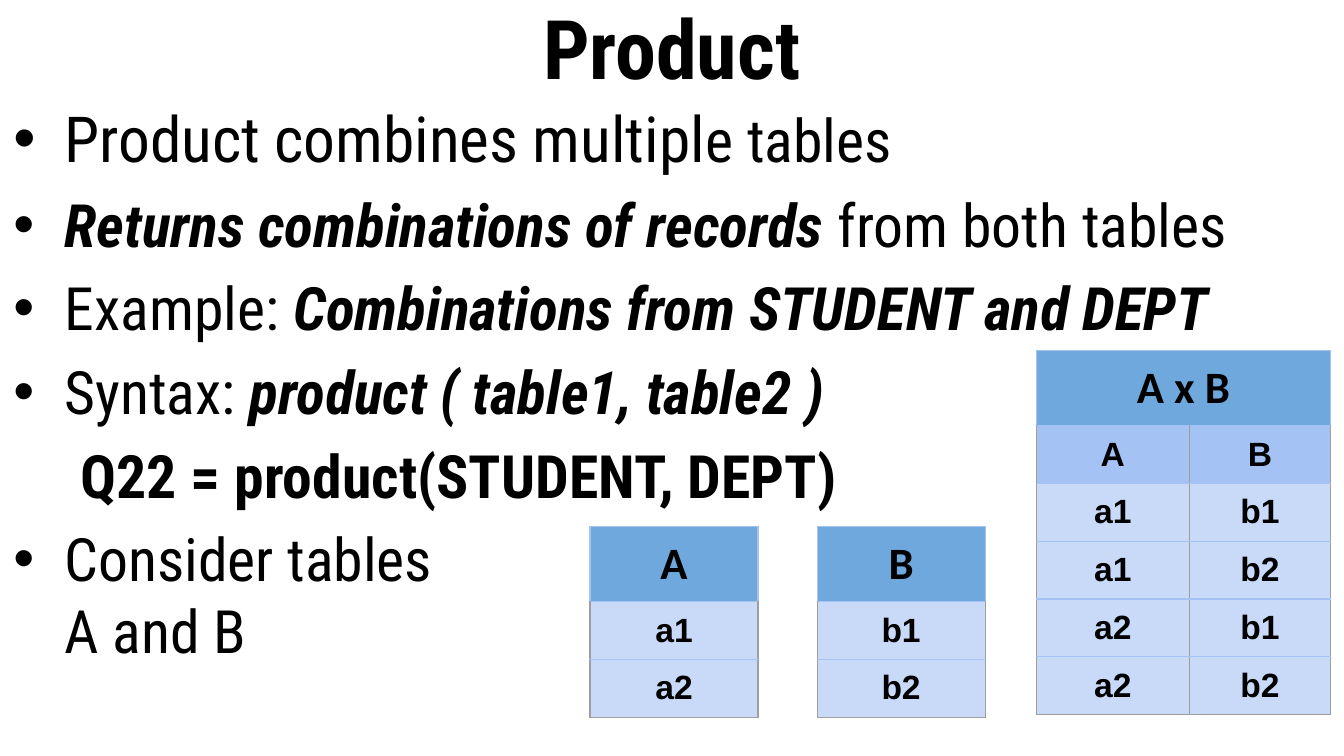
from lxml.etree import SubElement
from pptx import Presentation
from pptx.dml.color import RGBColor
from pptx.enum.text import MSO_ANCHOR, MSO_AUTO_SIZE, PP_ALIGN
from pptx.oxml.ns import qn
from pptx.util import Inches, Pt

BLACK = RGBColor(0x00, 0x00, 0x00)
HEADER = RGBColor(0x6F, 0xA8, 0xDC)
BLUE = RGBColor(0xA4, 0xC2, 0xF4)
PALE = RGBColor(0xC9, 0xDA, 0xF8)
GREY = RGBColor(0x9E, 0x9E, 0x9E)

TEXT_FONT = "Roboto Condensed"
ROW_HEIGHT = 0.31

# Each paragraph: bulleted or not, then its runs as (text, size, bold, italic)
BODY = [
    (True, [("Product combines multipl", 34, False, False),
            ("e tables", 32, False, False)]),
    (True, [("Returns combinations of records ", 32, True, True),
            ("from both tables", 32, False, False)]),
    (True, [("Example: ", 32, False, False),
            ("Combinations from STUDENT and DEPT", 32, True, True)]),
    (True, [("Syntax: ", 32, False, False),
            ("product ( table1, table2 )", 32, True, True)]),
    (False, [("Q22 = product(STUDENT, DEPT)", 32, True, False)]),
    (True, [("Consider tables\nA and B", 32, False, False)]),
]


def format_run(r, font, size, bold=True, italic=False):
    r.font.name = font
    r.font.size = Pt(size)
    r.font.bold = bold
    r.font.italic = italic
    r.font.color.rgb = BLACK


def place(sp, left, top, width, height):
    sp.left, sp.top = Inches(left), Inches(top)
    sp.width, sp.height = Inches(width), Inches(height)
    sp.text_frame.auto_size = MSO_AUTO_SIZE.NONE
    sp.text_frame.word_wrap = True


def set_indent(p, margin, hanging):
    pPr = p._p.get_or_add_pPr()
    pPr.set("marL", str(Inches(margin)))
    pPr.set("indent", str(Inches(-hanging)))
    return pPr


def set_bullet(pPr, bulleted):
    if not bulleted:
        SubElement(pPr, qn("a:buNone"))
        return
    color = SubElement(pPr, qn("a:buClr"))
    SubElement(color, qn("a:srgbClr"), val=str(BLACK))
    SubElement(pPr, qn("a:buFont"), typeface="Arial")
    SubElement(pPr, qn("a:buChar"), char="•")


def add_title(sp, text):
    place(sp, 0, 0, 10, 0.69)
    tf = sp.text_frame
    tf.text = text
    tf.vertical_anchor = MSO_ANCHOR.MIDDLE
    p = tf.paragraphs[0]
    p.alignment = PP_ALIGN.CENTER
    format_run(p.runs[0], TEXT_FONT, 44)


def add_body(sp, paragraphs):
    place(sp, 0, 0.69, 10, 4.94)
    tf = sp.text_frame
    for i, (bulleted, runs) in enumerate(paragraphs):
        p = tf.add_paragraph() if i else tf.paragraphs[0]
        p.space_before = Pt(6.4 if i else 0)
        pPr = set_indent(p, 0.38 if bulleted else 0.88, 0.38)
        set_bullet(pPr, bulleted)
        for text, size, bold, italic in runs:
            for n, line in enumerate(text.split("\n")):
                if n:
                    p.add_line_break()
                r = p.add_run()
                r.text = line
                format_run(r, TEXT_FONT, size, bold, italic)


def set_borders(cell, side, bottom):
    tcPr = cell._tc.get_or_add_tcPr()
    colors = {"lnL": side, "lnR": side, "lnT": BLUE, "lnB": bottom}
    for tag, color in colors.items():
        ln = SubElement(tcPr, qn("a:" + tag), w=str(Pt(0.75)))
        fill = SubElement(ln, qn("a:solidFill"))
        SubElement(fill, qn("a:srgbClr"), val=str(color))


def format_cell(cell, text, fill, font, size):
    cell.margin_left = cell.margin_right = Inches(0.1)
    cell.margin_top = cell.margin_bottom = Inches(0.15) // 2
    cell.fill.solid()
    cell.fill.fore_color.rgb = fill
    p = cell.text_frame.paragraphs[0]
    p.text = text
    p.alignment = PP_ALIGN.CENTER
    for r in p.runs:
        format_run(r, font, size)
    return p


def add_grid(slide, left, top, widths, heading, rows, subheader=False):
    count = len(rows) + 1
    frame = slide.shapes.add_table(
        count, len(widths), Inches(left), Inches(top),
        Inches(sum(widths)), Inches(ROW_HEIGHT * count))
    table = frame.table
    table.first_row = table.horz_banding = False
    for column, width in zip(table.columns, widths):
        column.width = Inches(width)
    for row in table.rows:
        row.height = Inches(ROW_HEIGHT)

    # Heading across all columns
    for c in range(len(widths)):
        set_borders(table.cell(0, c), BLUE, BLUE)
    head = table.cell(0, 0)
    if len(widths) > 1:
        head.merge(table.cell(0, len(widths) - 1))
    p = format_cell(head, heading, HEADER, "Calibri", 24)
    p.space_before = Pt(5)
    set_indent(p, 0.28, 0.28)

    # Values below it
    for i, values in enumerate(rows, start=1):
        fill = BLUE if subheader and i == 1 else PALE
        for c, value in enumerate(values):
            cell = table.cell(i, c)
            set_borders(cell, GREY, GREY if i == len(rows) else BLUE)
            format_cell(cell, value, fill, "Arial", 18)


def main():
    # Widescreen, 16:9
    prs = Presentation()
    prs.slide_width = Inches(10)
    prs.slide_height = prs.slide_width * 9 // 16
    slide = prs.slides.add_slide(prs.slide_layouts[1])

    add_title(slide.shapes.title, "Product")
    add_body(slide.placeholders[1], BODY)

    # Source tables and their product
    a, b = ["a1", "a2"], ["b1", "b2"]
    add_grid(slide, 4.39, 3.92, [1.25], "A", [[x] for x in a])
    add_grid(slide, 6.08, 3.92, [1.25], "B", [[y] for y in b])
    pairs = [[x, y] for x in a for y in b]
    add_grid(slide, 7.71, 2.61, [1.14, 1.05], "A x B",
             [["A", "B"]] + pairs, subheader=True)

    prs.save("out.pptx")


if __name__ == "__main__":
    main()
